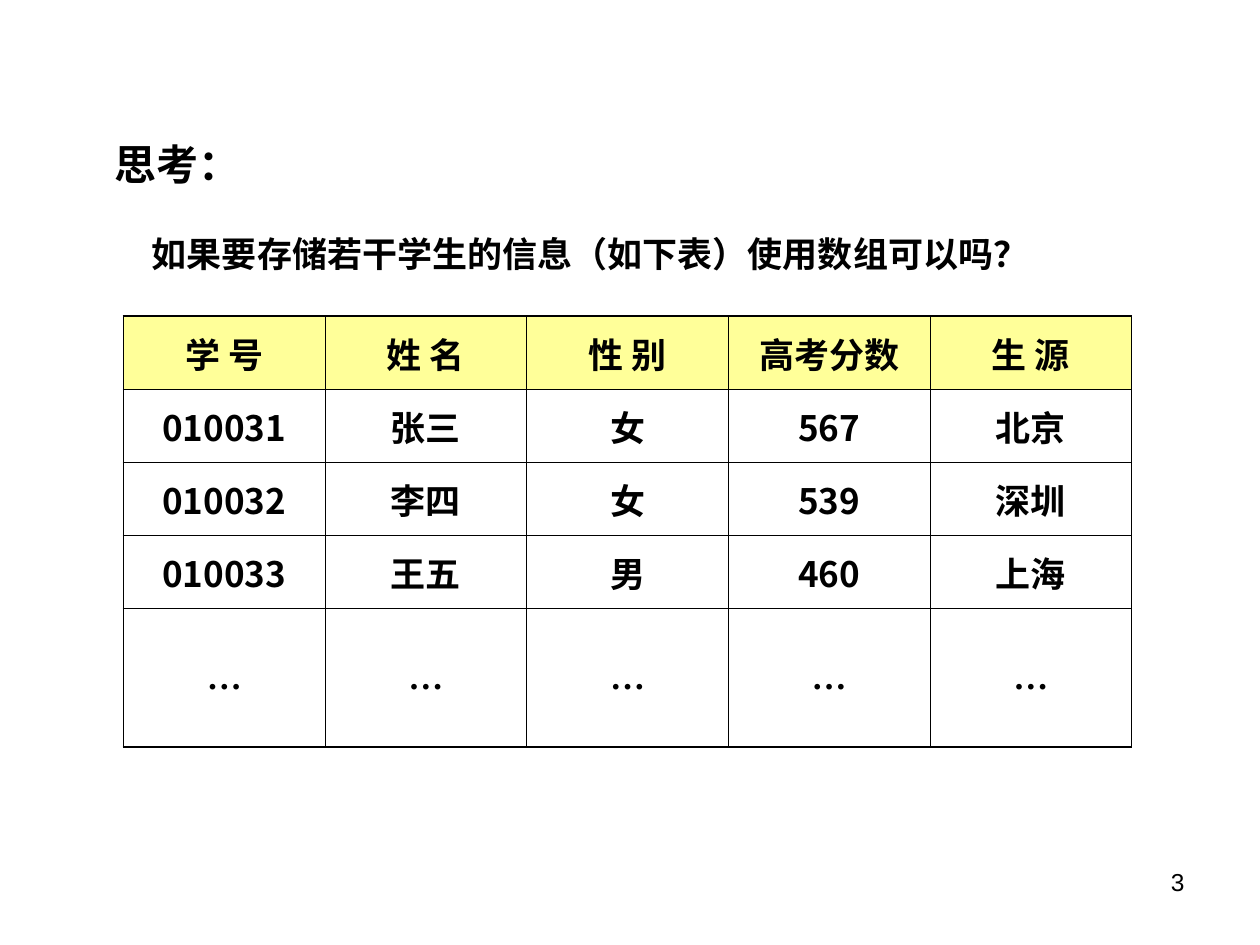
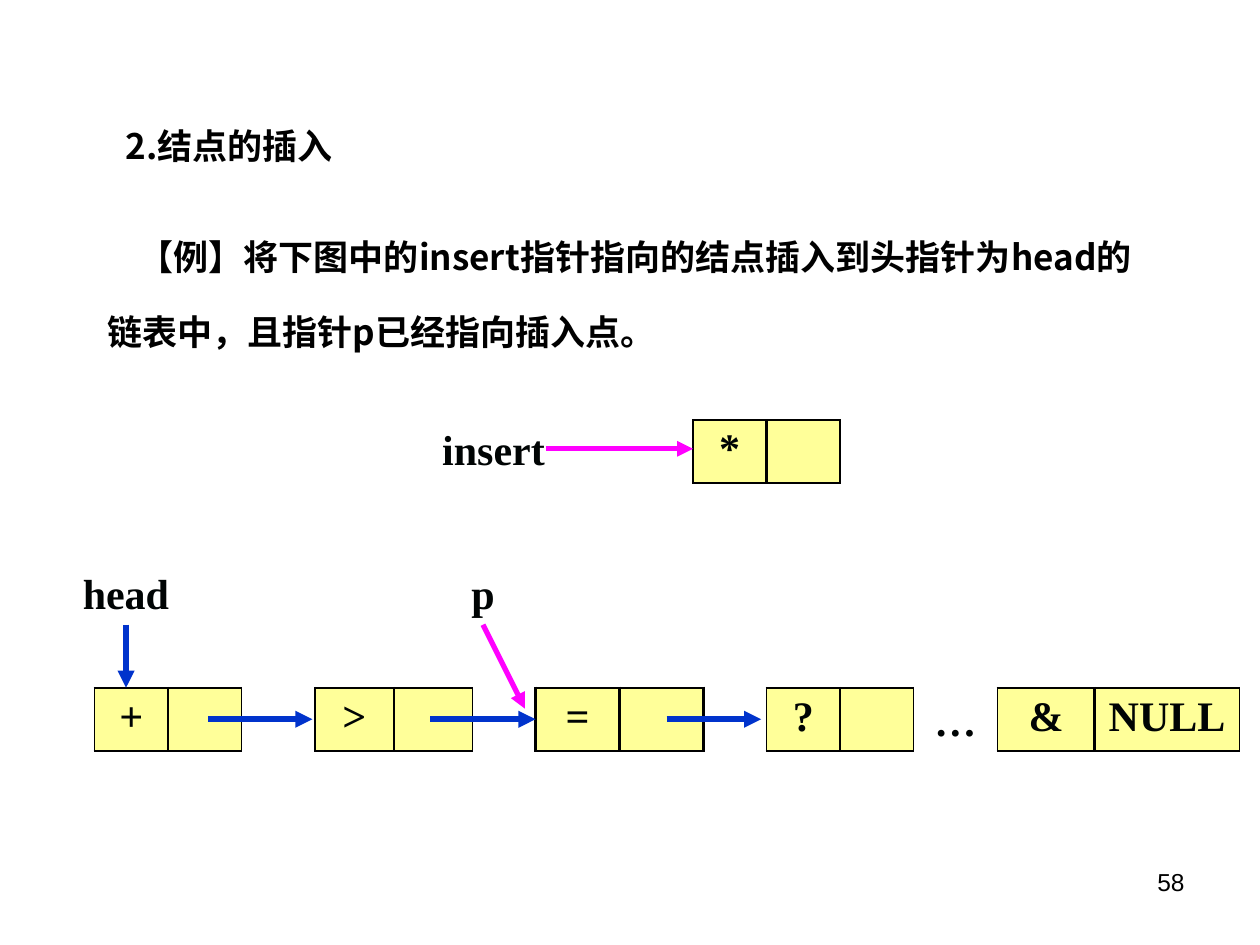
"""Build two slides on linked lists: a student table and a node insertion diagram."""
from dataclasses import dataclass
from typing import Optional

import lxml.etree
import pptx
import pptx.dml.color
import pptx.enum.shapes
import pptx.enum.text
import pptx.oxml
import pptx.oxml.ns
import pptx.util

Pt = pptx.util.Pt
qn = pptx.oxml.ns.qn
ALIGN = pptx.enum.text.PP_ALIGN
ANCHOR = pptx.enum.text.MSO_ANCHOR

COLORS = {
    "text": "000000",
    "diagram": "000404",
    "cell": "FFFF99",
    "link": "0033CC",
    "pointer": "FF00FF",
}
CHINESE, SERIF, SANS = "Noto Sans CJK SC", "Times New Roman", "Arial"


@dataclass(frozen=True)
class TextStyle:
    """Font and paragraph settings."""
    font: str
    size: float
    color: str = "text"
    bold: bool = True
    align: ALIGN = ALIGN.LEFT
    spacing: float = 1.0
    indent: float = 0


@dataclass(frozen=True)
class Box:
    """Place and size in points."""
    left: float
    top: float
    width: float
    height: float


@dataclass(frozen=True)
class Node:
    """A list node with a data cell and a link cell."""
    left: float
    top: float
    widths: tuple[float, float]
    data: str
    link: str = ""
    outline: float = 1.08


@dataclass(frozen=True)
class Arrow:
    """A straight arrow; a label name joins its start to that label's bottom."""
    start: tuple[float, float]
    end: tuple[float, float]
    color: str
    weight: float
    label: Optional[str] = None


NUMBER = TextStyle(SANS, 14, bold=False, align=ALIGN.RIGHT)
TABLE = TextStyle(CHINESE, 20, align=ALIGN.CENTER)
ELLIPSIS = TextStyle(SERIF, 20, align=ALIGN.CENTER)
DIAGRAM = TextStyle(SERIF, 24, "diagram", align=ALIGN.CENTER)

STUDENTS = [
    ["学 号", "姓 名", "性 别", "高考分数", "生 源"],
    ["010031", "张三", "女", "567", "北京"],
    ["010032", "李四", "女", "539", "深圳"],
    ["010033", "王五", "男", "460", "上海"],
    ["…"] * 5,
]

LIST_TOP = 393
LINK_Y = 411
NODES = [
    Node(54, LIST_TOP, (42, 42), "+"),
    Node(180, LIST_TOP, (45, 45), ">"),
    Node(306, LIST_TOP, (48, 48), "=", outline=1.47),
    Node(438, LIST_TOP, (42, 42), "?"),
    Node(570, LIST_TOP, (55.5, 82.8), "&", "NULL"),
    Node(396, 240, (42, 42), "*"),
]
LABELS = {
    "head": Box(36, 321, 72, 36),
    "p": Box(240, 321, 72, 36),
    "insert": Box(234, 238.5, 96, 36),
    "…": Box(522, LIST_TOP, 48, 36),
}
ARROWS = [
    Arrow((72, 357), (72, LIST_TOP), "link", 3.25, "head"),
    Arrow((119, LINK_Y), (178.5, LINK_Y), "link", 3.25),
    Arrow((246, LINK_Y), (306, LINK_Y), "link", 3.25),
    Arrow((381, LINK_Y), (435, LINK_Y), "link", 3.25),
    Arrow((276, 357), (300, 405), "pointer", 3, "p"),
    Arrow((312, 256.5), (396, 256.5), "pointer", 3),
]


def rgb(name: str) -> pptx.dml.color.RGBColor:
    """Return a named colour."""
    return pptx.dml.color.RGBColor.from_string(COLORS[name])


def write(text_frame, text: str, style: TextStyle) -> None:
    """Put one styled paragraph in a text frame."""
    text_frame.text = text
    paragraph = text_frame.paragraphs[0]
    paragraph.alignment = style.align
    paragraph.line_spacing = style.spacing
    paragraph.space_before = Pt(0)
    properties = paragraph._p.get_or_add_pPr()
    properties.set("marL", "0")
    properties.set("indent", str(Pt(style.indent)))
    lxml.etree.SubElement(properties, qn("a:buNone"))
    for run in paragraph.runs:
        run.font.name = style.font
        run.font.size = Pt(style.size)
        run.font.bold = style.bold
        run.font.color.rgb = rgb(style.color)
        east_asian = lxml.etree.Element(qn("a:ea"), typeface=style.font)
        run.font._element.find(qn("a:latin")).addnext(east_asian)


def fill_box(shape, box: Box, text: str, style: TextStyle, anchor: ANCHOR = ANCHOR.TOP):
    """Place a text shape and write its text."""
    shape.left, shape.top = Pt(box.left), Pt(box.top)
    shape.width, shape.height = Pt(box.width), Pt(box.height)
    text_frame = shape.text_frame
    text_frame.word_wrap = True
    text_frame.auto_size = pptx.enum.text.MSO_AUTO_SIZE.NONE
    text_frame.vertical_anchor = anchor
    write(text_frame, text, style)
    return shape


def add_text(slide, box: Box, text: str, style: TextStyle, anchor: ANCHOR = ANCHOR.TOP):
    """Add a text box."""
    return fill_box(slide.shapes.add_textbox(0, 0, 0, 0), box, text, style, anchor)


def add_content_slide(presentation, number: str):
    """Add a title and content slide with its page number."""
    slide = presentation.slides.add_slide(presentation.slide_layouts[1])
    add_text(slide, Box(516, 492, 168, 37), number, NUMBER)
    return slide


def set_borders(cell, weights: dict[str, float]) -> None:
    """Draw the four borders of a cell, given left, right, top, bottom weights."""
    properties = cell._tc.get_or_add_tcPr()
    for position, (side, weight) in enumerate(weights.items()):
        line = lxml.etree.Element(qn(f"a:ln{side}"), w=str(Pt(weight)))
        fill = lxml.etree.SubElement(line, qn("a:solidFill"))
        lxml.etree.SubElement(fill, qn("a:srgbClr"), val=COLORS["text"])
        properties.insert(position, line)


def add_grid(slide, left: float, top: float, widths, heights, outer: float, inner: float):
    """Add a bordered plain table."""
    table = slide.shapes.add_table(
        len(heights), len(widths), Pt(left), Pt(top), Pt(sum(widths)), Pt(sum(heights))
    ).table
    table.first_row = table.horz_banding = False
    for column, width in zip(table.columns, widths):
        column.width = Pt(width)
    for row, height in zip(table.rows, heights):
        row.height = Pt(height)
    last_row, last_column = len(heights) - 1, len(widths) - 1
    for r in range(len(heights)):
        for c in range(len(widths)):
            cell = table.cell(r, c)
            cell.fill.background()
            set_borders(cell, {
                "L": outer if c == 0 else inner,
                "R": outer if c == last_column else inner,
                "T": outer if r == 0 else inner,
                "B": outer if r == last_row else inner,
            })
    return table


def fill_cell(cell) -> None:
    """Give a cell the yellow fill."""
    cell.fill.solid()
    cell.fill.fore_color.rgb = rgb("cell")


def add_student_table(slide) -> None:
    """Add the table of students."""
    table = add_grid(slide, 70.6, 180.7, [115.2] * 5, [41.75] * 4 + [79.2], 1.08, 0.45)
    for r, values in enumerate(STUDENTS):
        for c, value in enumerate(values):
            cell = table.cell(r, c)
            cell.vertical_anchor = ANCHOR.MIDDLE
            write(cell.text_frame, value, ELLIPSIS if value == "…" else TABLE)
            if r == 0:
                fill_cell(cell)


def add_node(slide, node: Node) -> None:
    """Add a list node as a table of two cells."""
    table = add_grid(slide, node.left, node.top, node.widths, [36], node.outline, 1.47)
    for column, text in enumerate((node.data, node.link)):
        cell = table.cell(0, column)
        fill_cell(cell)
        if text:
            write(cell.text_frame, text, DIAGRAM)


def add_arrow(slide, arrow: Arrow, labels: dict) -> None:
    """Add an arrow with a triangular head."""
    connector = slide.shapes.add_connector(
        pptx.enum.shapes.MSO_CONNECTOR.STRAIGHT, *map(Pt, arrow.start + arrow.end)
    )
    if arrow.label:
        connector.begin_connect(labels[arrow.label], 2)
    connector.line.color.rgb = rgb(arrow.color)
    connector.line.width = Pt(arrow.weight)
    line = connector.line._get_or_add_ln()
    lxml.etree.SubElement(line, qn("a:tailEnd"), type="triangle")
    lxml.etree.SubElement(connector._element.spPr, qn("a:effectLst"))


def build_student_slide(presentation) -> None:
    """Build the slide that asks how to store student records."""
    slide = add_content_slide(presentation, "3")
    fill_box(slide.shapes.title, Box(58.3, 61.2, 574, 52), "思考：",
             TextStyle(CHINESE, 24, spacing=1.5))
    fill_box(slide.placeholders[1], Box(58.3, 117.3, 574, 46),
             "如果要存储若干学生的信息（如下表）使用数组可以吗？",
             TextStyle(CHINESE, 20, spacing=1.5, indent=21.3))
    add_student_table(slide)


def build_insertion_slide(presentation) -> None:
    """Build the slide that shows a node to insert in a linked list."""
    slide = add_content_slide(presentation, "58")
    fill_box(slide.shapes.title, Box(54, 55.4, 606, 46), "2.结点的插入",
             TextStyle(CHINESE, 20, spacing=1.5, indent=10.5))
    fill_box(slide.placeholders[1], Box(54, 111.6, 606, 94),
             "【例】将下图中的insert指针指向的结点插入到头指针为head的链表中，且指针p已经指向插入点。",
             TextStyle(CHINESE, 20, spacing=1.8, indent=18))
    for node in NODES:
        add_node(slide, node)
    labels = {
        text: add_text(slide, box, text, DIAGRAM,
                       ANCHOR.MIDDLE if text == "…" else ANCHOR.TOP)
        for text, box in LABELS.items()
    }
    for arrow in ARROWS:
        add_arrow(slide, arrow, labels)


def main() -> None:
    """Build and save the presentation."""
    presentation = pptx.Presentation()
    presentation.slide_width, presentation.slide_height = Pt(720), Pt(540)
    build_student_slide(presentation)
    build_insertion_slide(presentation)
    presentation.save("out.pptx")


if __name__ == "__main__":
    main()
